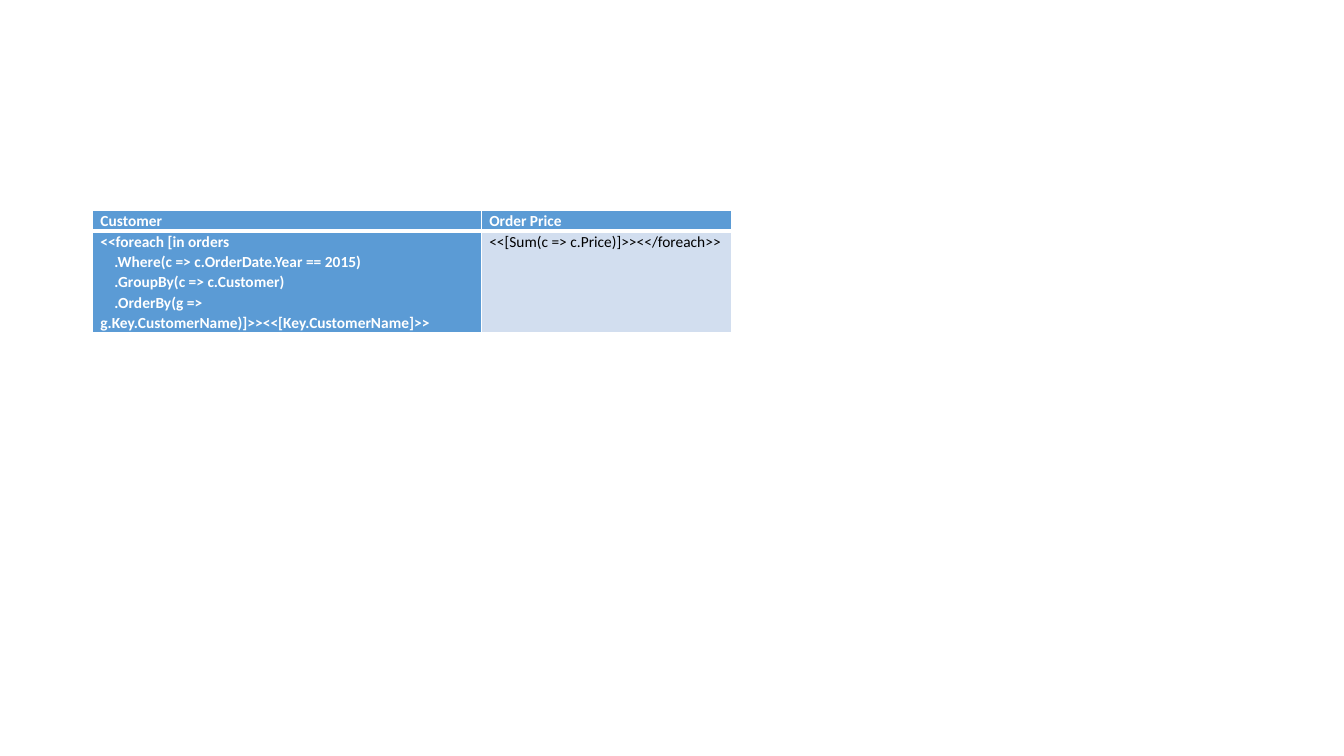
from lxml import etree
from pptx import Presentation
from pptx.dml.color import RGBColor
from pptx.oxml.ns import qn
from pptx.util import Cm, Pt

HEADER_BLUE = "5B9BD5"
PALE_BLUE = "D2DEEF"
WHITE = "FFFFFF"
BLACK = "000000"

COLUMN_WIDTHS = (9.8, 6.3)
ROW_HEIGHTS = (0.5, 2.47)
CUSTOMER_QUERY = """<<foreach [in orders
    .Where(c => c.OrderDate.Year == 2015)
    .GroupBy(c => c.Customer)
    .OrderBy(g => g.Key.CustomerName)]>><<[Key.CustomerName]>>"""
ROWS = (
    ("Customer", "Order Price"),
    (CUSTOMER_QUERY, "<<[Sum(c => c.Price)]>><</foreach>>"),
)


def color(value):
    return RGBColor.from_string(value)


class OrderSlide:
    """Holds the text style and the slide that receives the order table."""

    font_name = "Calibri"
    font_size = Pt(11)
    line_spacing = 1.07
    side_margin = Cm(0.19)

    def __init__(self, presentation):
        self.slide = presentation.slides.add_slide(presentation.slide_layouts[6])

    def add_table(self, left, top, rows, column_widths, row_heights):
        frame = self.slide.shapes.add_table(
            len(rows), len(column_widths), Cm(left), Cm(top),
            Cm(sum(column_widths)), Cm(sum(row_heights)))
        table = frame.table
        table.first_row = False
        table.horz_banding = False
        for column, width in zip(table.columns, column_widths):
            column.width = Cm(width)
        for row, height in zip(table.rows, row_heights):
            row.height = Cm(height)
        for row_index, texts in enumerate(rows):
            for column_index, text in enumerate(texts):
                is_heading = row_index == 0 or column_index == 0
                cell = table.cell(row_index, column_index)
                self.fill_cell(cell, text, is_heading)
                self.add_borders(cell, is_header=row_index == 0)

    def fill_cell(self, cell, text, is_heading):
        cell.margin_left = cell.margin_right = self.side_margin
        cell.margin_top = cell.margin_bottom = 0
        cell.fill.solid()
        cell.fill.fore_color.rgb = color(HEADER_BLUE if is_heading else PALE_BLUE)
        cell.text_frame.text = text
        for paragraph in cell.text_frame.paragraphs:
            paragraph.line_spacing = self.line_spacing
            for run in paragraph.runs:
                run.font.name = self.font_name
                run.font.size = self.font_size
                run.font.bold = is_heading
                run.font.color.rgb = color(WHITE if is_heading else BLACK)

    def add_borders(self, cell, is_header):
        widths = {"lnL": 1, "lnR": 1, "lnT": 1 if is_header else 3,
                  "lnB": 3 if is_header else 1}
        properties = cell._tc.get_or_add_tcPr()
        for index, (side, width) in enumerate(widths.items()):
            line = etree.Element(qn(f"a:{side}"), w=str(Pt(width)))
            fill = etree.SubElement(line, qn("a:solidFill"))
            etree.SubElement(fill, qn("a:srgbClr"), val=WHITE)
            properties.insert(index, line)


def main():
    presentation = Presentation()
    presentation.slide_width = Cm(33.87)
    presentation.slide_height = Cm(19.05)
    order_slide = OrderSlide(presentation)
    order_slide.add_table(2.34, 5.31, ROWS, COLUMN_WIDTHS, ROW_HEIGHTS)
    presentation.save("out.pptx")


if __name__ == "__main__":
    main()
